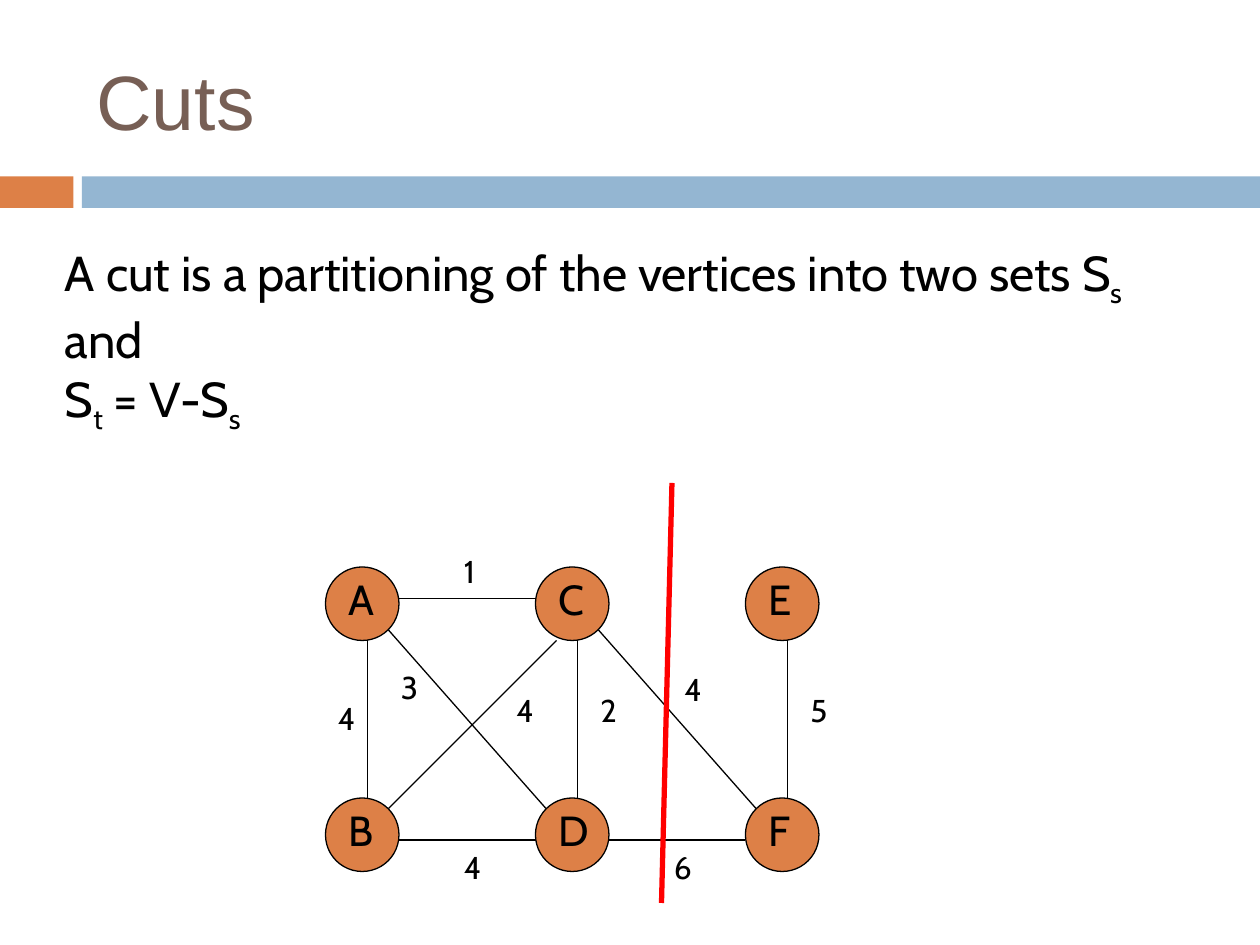
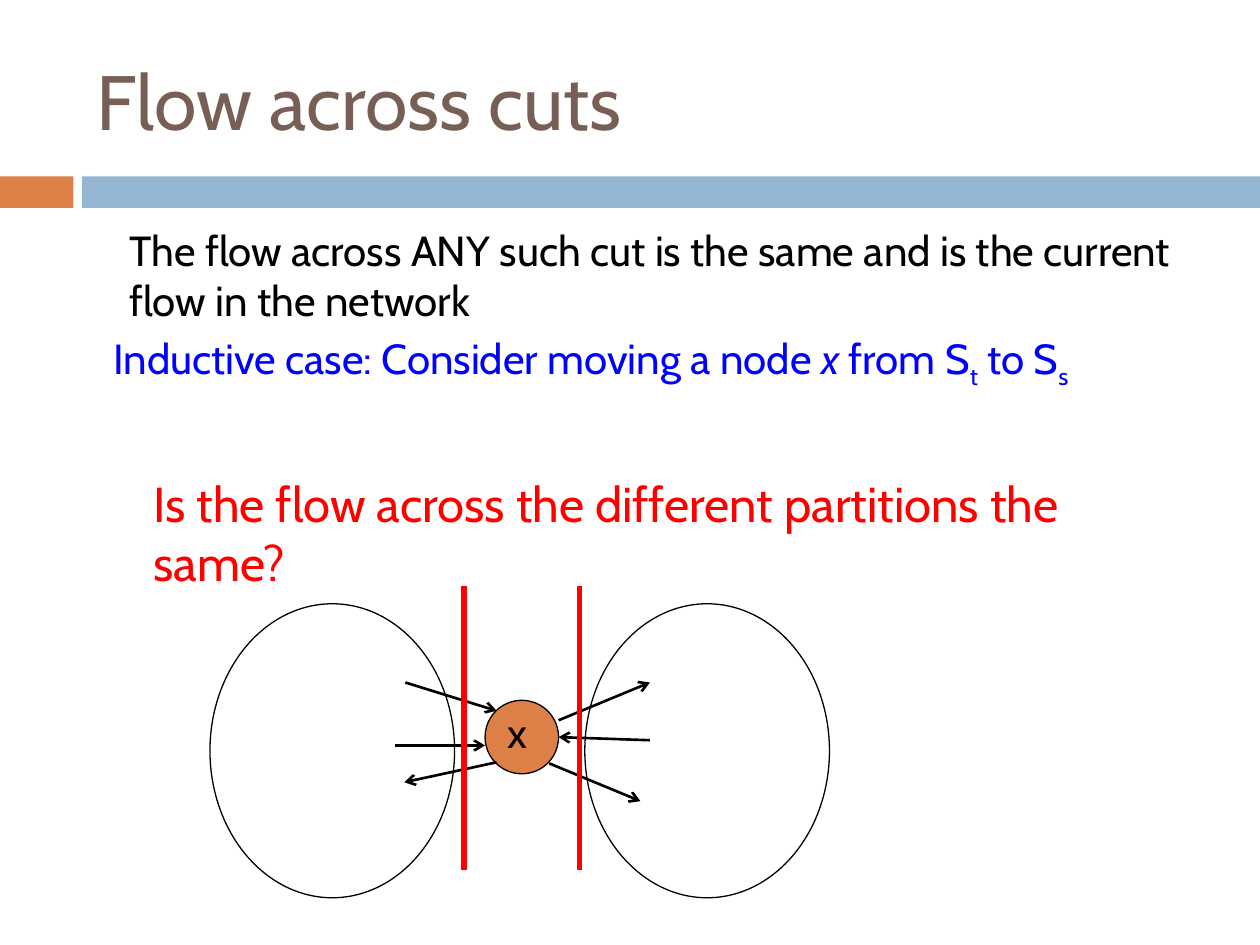
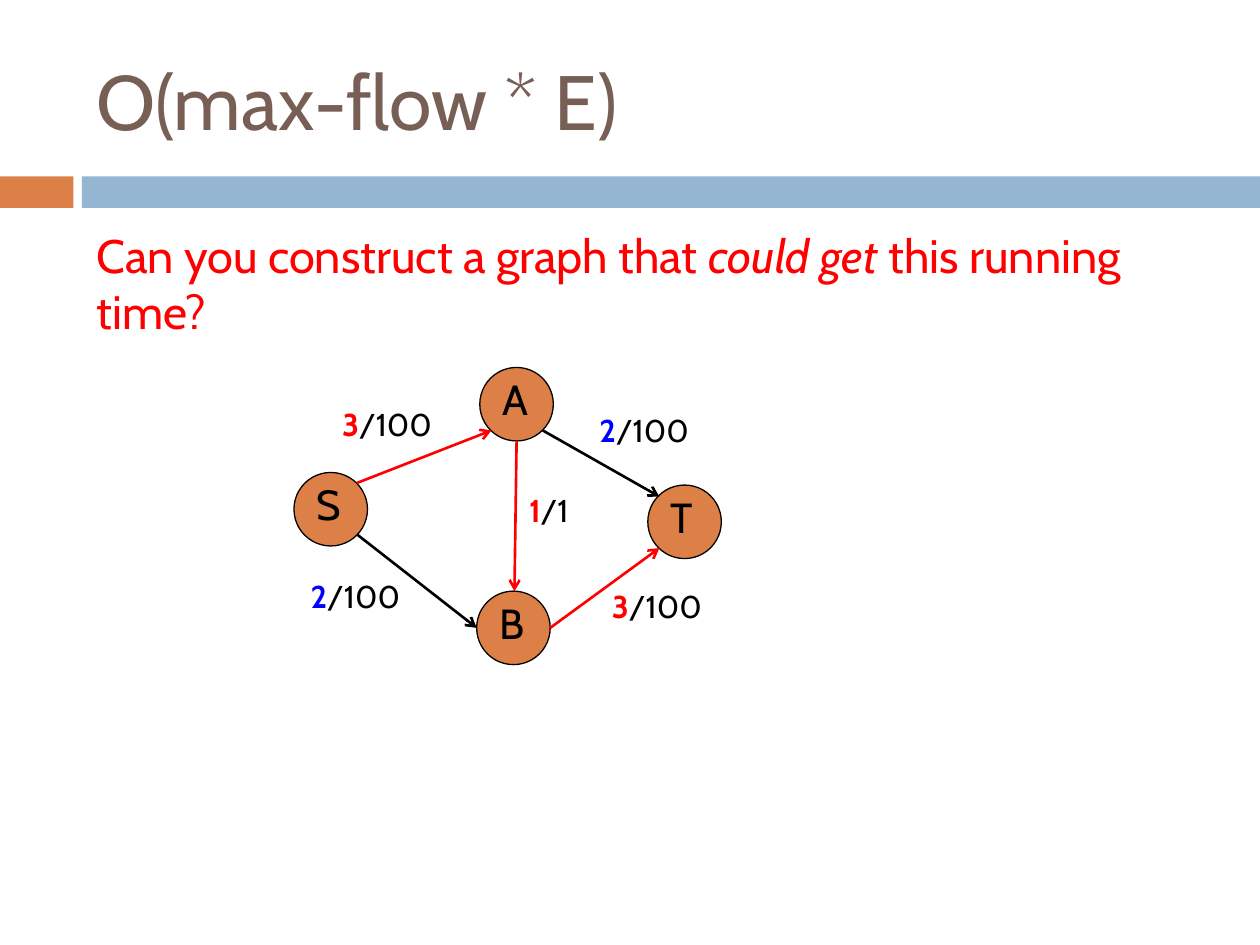
import pptx
import pptx.dml.color
import pptx.enum.shapes
import pptx.enum.text
import pptx.oxml
import pptx.oxml.ns
import pptx.util

RGB = pptx.dml.color.RGBColor
BLACK = RGB(0, 0, 0)
RED = RGB(0xFF, 0, 0)
BLUE = RGB(0, 0, 0xFF)
ORANGE = RGB(0xDD, 0x80, 0x47)
SKY = RGB(0x94, 0xB6, 0xD2)
BROWN = RGB(0x77, 0x5F, 0x55)

COLS, ROWS = 120, 90
NODE = 7
SUB = {"sub": True}
ITALIC = {"italic": True}
FORM = pptx.enum.shapes.MSO_SHAPE
ANCHOR = pptx.enum.text.MSO_ANCHOR


def write(frame, text, size=24, color=BLACK, font="Cabin"):
    """Fill one paragraph from a string or a list of (text, format) runs."""
    para = frame.paragraphs[0]
    runs = [(text, {})] if isinstance(text, str) else text
    for words, form in runs:
        for n, line in enumerate(words.split("\n")):
            if n:
                para.add_line_break()
            run = para.add_run()
            run.text = line
            run.font.name = font
            run.font.size = pptx.util.Pt(size)
            run.font.color.rgb = form.get("color", color)
            run.font.bold = form.get("bold", False)
            run.font.italic = form.get("italic", False)
            if form.get("sub"):
                run._r.get_or_add_rPr().set("baseline", "-25000")


class Deck:
    """Draws on the current slide; lengths are cells of a 120 by 90 grid."""

    def __init__(self):
        self.prs = pptx.Presentation()
        self.prs.slide_width = pptx.util.Inches(10)
        self.prs.slide_height = pptx.util.Inches(7.5)
        self.slide = None

    def grid(self, x, y):
        return (round(self.prs.slide_width * x / COLS),
                round(self.prs.slide_height * y / ROWS))

    def page(self, title, font="Cabin"):
        """Start a slide with its band and title."""
        self.slide = self.prs.slides.add_slide(self.prs.slide_layouts[6])
        self.shape(FORM.RECTANGLE, 0, 16.8, 7, 3, fill=ORANGE)
        self.shape(FORM.RECTANGLE, 7.8, 16.8, 112.2, 3, fill=SKY)
        self.text(title, 8, 3, 107, 13, anchor=ANCHOR.MIDDLE,
                  size=44, color=BROWN, font=font)

    def shape(self, form, x, y, w, h, fill=None, line=None, home=None):
        shape = (home or self.slide).shapes.add_shape(
            form, *self.grid(x, y), *self.grid(w, h))
        shape.shadow.inherit = False
        if fill is None:
            shape.fill.background()
        else:
            shape.fill.solid()
            shape.fill.fore_color.rgb = fill
        if line is None:
            shape.line.fill.background()
        else:
            shape.line.color.rgb = line
            shape.line.width = pptx.util.Pt(0.75)

    def text(self, text, x, y, w, h, anchor=ANCHOR.TOP, home=None, **form):
        box = (home or self.slide).shapes.add_textbox(
            *self.grid(x, y), *self.grid(w, h))
        frame = box.text_frame
        frame.word_wrap = True
        frame.vertical_anchor = anchor
        write(frame, text, **form)

    def node(self, name, x, y):
        group = self.slide.shapes.add_group_shape()
        self.shape(FORM.OVAL, x, y, NODE, NODE, ORANGE, BLACK, home=group)
        self.text(name, x + 1, y, 6, 6, home=group)

    def label(self, text, x, y, w=7):
        self.text(text, x, y, w, 4.8, size=18)

    def flow(self, used, cap, color, x, y, w):
        """Label an edge with its flow and capacity."""
        self.label([(used, {"bold": True, "color": color}), ("/" + cap, {})],
                   x, y, w)

    def line(self, x1, y1, x2, y2, color=BLACK, width=0.75, arrow=False):
        line = self.slide.shapes.add_connector(
            pptx.enum.shapes.MSO_CONNECTOR.STRAIGHT,
            *self.grid(x1, y1), *self.grid(x2, y2))
        line.line.color.rgb = color
        line.line.width = pptx.util.Pt(width)
        props = line.element.spPr
        if arrow:
            stroke = props.find(pptx.oxml.ns.qn("a:ln"))
            tip = pptx.oxml.parse_xml(
                "<a:tailEnd %s type='arrow'/>" % pptx.oxml.ns.nsdecls("a"))
            stroke.append(tip)
        props.append(pptx.oxml.parse_xml(
            "<a:effectLst %s/>" % pptx.oxml.ns.nsdecls("a")))

    def arrow(self, *ends, color=BLACK):
        self.line(*ends, color=color, width=1.5, arrow=True)

    def cut(self, *ends):
        self.line(*ends, color=RED, width=3)


def cuts(deck):
    deck.page("Cuts", font="Arial")
    deck.text([("A cut is a partitioning of the vertices into two sets S", {}),
               ("s", SUB), (" and \nS", {}), ("t", SUB),
               (" = V-S", {}), ("s", SUB)], 5, 22.5, 109, 23.4, size=28)
    left, step, top, low = 31, 20, 54, 76
    for n, (high, deep) in enumerate(("AB", "CD", "EF")):
        x = left + n * step
        deck.node(high, x, top)
        deck.node(deep, x, low)
        deck.line(x + 4, low, x + 4, top + NODE)
        if n < 2:
            deck.line(x + NODE, low + 4, x + step, low + 4)
            deck.line(x + 6, top + 6, x + step + 1, low + 1)
    deck.line(left + NODE, top + 3, left + step, top + 3)
    deck.line(left + 6, low + 1, left + step + 2, top + NODE)
    for cost, x, y in (("4", 31, 66), ("1", 43, 52), ("2", 56, 65.2),
                       ("3", 37, 63), ("4", 43, 80.2), ("5", 76, 65.2),
                       ("4", 64, 63.2), ("6", 63, 80.2), ("4", 48, 65.2)):
        deck.label(cost, x, y)
    deck.cut(63, 86, 64, 46)


def across(deck):
    deck.page("Flow across cuts")
    deck.text("The flow across ANY such cut is the same and is the current "
              "flow in the network", 11.15, 20.75, 102.2, 10.9)
    deck.text([("Inductive case: Consider moving a node ", {}), ("x", ITALIC),
               (" from S", {}), ("t", SUB), (" to S", {}), ("s", SUB)],
              9.6, 31.1, 105.2, 6, color=BLUE)
    deck.text("Is the flow across the different partitions the same?",
              13.45, 44.5, 97.8, 6.8, size=28, color=RED)
    for x in (20, 55.7):
        deck.shape(FORM.OVAL, x, 57.5, 23.3, 28, line=BLACK)
    deck.node("x", 46.2, 66.7)
    for ends in ((38.6, 65, 47.3, 67.7), (37.6, 71, 46.2, 71),
                 (47.3, 72.6, 38.5, 74.5), (53.2, 68.6, 61.9, 65),
                 (61.9, 70.5, 53.2, 70.2), (52.3, 72.7, 61, 76.3)):
        deck.arrow(*ends)
    for x in (44.2, 55.2):
        deck.cut(x, 55.8, x, 82.9)


def bound(deck):
    deck.page("O(max-flow * E)")
    deck.text([("Can you construct a graph that ", {}), ("could get", ITALIC),
               (" this running time?", {})],
              8, 21, 107, 8.4, size=26.8, color=RED)
    for name, x, y in (("S", 28, 45), ("A", 45.7, 35),
                       ("B", 45.4, 56.3), ("T", 61.7, 46.2)):
        deck.node(name, x, y)
    for color, *ends in ((RED, 34, 46, 46.8, 41),
                         (BLACK, 34, 50.9, 45.4, 59.8),
                         (RED, 52.4, 59.8, 62.8, 52.2),
                         (RED, 49.2, 42, 49, 56.3),
                         (BLACK, 51.7, 41, 62.8, 47.3)):
        deck.arrow(*ends, color=color)
    for item in (("3", "100", RED, 31.4, 38, 12.1),
                 ("3", "100", RED, 57.1, 55.3, 13.1),
                 ("2", "100", BLUE, 28.4, 54.4, 13.9),
                 ("2", "100", BLUE, 55.9, 38.6, 12.8),
                 ("1", "1", RED, 49.2, 46.2, 9)):
        deck.flow(*item)


def main():
    deck = Deck()
    for draw in (cuts, across, bound):
        draw(deck)
    deck.prs.save("out.pptx")


if __name__ == "__main__":
    main()
